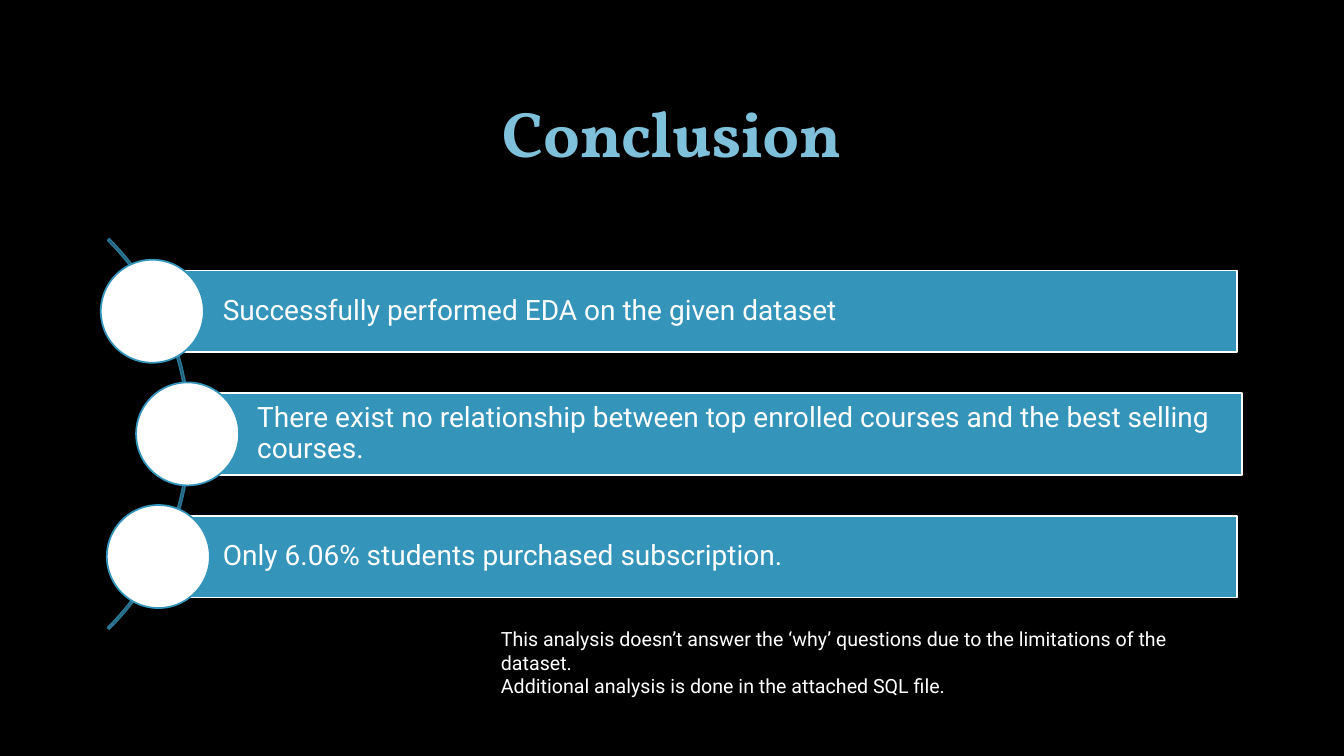
import pptx
import pptx.util
import pptx.dml.color
import pptx.enum.shapes
import pptx.enum.text
import lxml.etree

inch = pptx.util.Inches
shapes = pptx.enum.shapes.MSO_SHAPE
align = pptx.enum.text.PP_ALIGN
anchor = pptx.enum.text.MSO_ANCHOR
wide, high = 13.33, 7.5

points = [
    ("Successfully performed EDA on the given dataset", 0.57, 11.27, 0),
    ("There exist no relationship between top enrolled courses and the best selling courses.", 0.91, 11.32, 0.35),
    ("Only 6.06% students purchased subscription.", 0.57, 11.27, 0.06),
]
notes = [
    "This analysis doesn’t answer the ‘why’ questions due to the limitations of the dataset.",
    "Additional analysis is done in the attached SQL file.",
]


def color(code):
    return pptx.dml.color.RGBColor.from_string(code)


def put(item, values):
    for name, value in values.items():
        setattr(item, name, value)


def draw(slide, kind, box, fill, line):
    shape = slide.shapes.add_shape(kind, *map(inch, box))
    shape.shadow.inherit = False
    if fill:
        shape.fill.solid()
        shape.fill.fore_color.rgb = color(fill)
    else:
        shape.fill.background()
    shape.line.color.rgb = color(line)
    shape.line.width = pptx.util.Pt(1.25)
    return shape


def write(frame, lines, look, tint, layout, frame_look):
    put(frame, {"word_wrap": True, **frame_look})
    for i, line in enumerate(lines):
        para = frame.paragraphs[0] if i == 0 else frame.add_paragraph()
        put(para, layout)
        run = para.add_run()
        run.text = line
        put(run.font, look)
        run.font.color.rgb = color(tint)


def outline(run):
    space = "http://schemas.openxmlformats.org/drawingml/2006/main"
    line = lxml.etree.fromstring(
        f'<a:ln xmlns:a="{space}" w="9525"><a:solidFill><a:srgbClr val="404040">'
        '<a:alpha val="10000"/></a:srgbClr></a:solidFill></a:ln>')
    run.font._element.insert(0, line)


def title(slide, box):
    frame = slide.shapes.add_textbox(*map(inch, box)).text_frame
    write(frame, ["Conclusion"],
          {"name": "Vollkorn", "size": pptx.util.Pt(46), "bold": True}, "7FC1DB",
          {"alignment": align.CENTER, "line_spacing": 0.9},
          {"vertical_anchor": anchor.MIDDLE})
    outline(frame.paragraphs[0].runs[0])


def arc(slide, left, mid, size):
    curve = draw(slide, shapes.BLOCK_ARC, (left, mid - size / 2, size, size), None, "2A7795")
    for i, value in enumerate((189, 27, 0.004)):
        curve.adjustments[i] = value


def body(slide, box):
    left, top, _, height = box
    row = height / len(points)
    bar, disc = row * 2 / 3, row * 0.84
    pad = inch(0.06)
    arc(slide, left - 4.59, top + height / 2, row * 4.5)
    for i, (text, start, end, shift) in enumerate(points):
        mid = top + row * (i + 0.5)
        strip = draw(slide, shapes.RECTANGLE,
                     (left + start, mid - bar / 2, end - start, bar), "3494BA", "FFFFFF")
        write(strip.text_frame, [text], {"name": "Roboto", "size": pptx.util.Pt(20)}, "FFFFFF",
              {"alignment": align.LEFT, "line_spacing": 0.9},
              {"vertical_anchor": anchor.MIDDLE, "margin_left": inch(0.64),
               "margin_right": pad, "margin_top": pad, "margin_bottom": pad})
        draw(slide, shapes.OVAL, (left + shift, mid - disc / 2, disc, disc), "FFFFFF", "3494BA")


def footer(slide, box):
    frame = slide.shapes.add_textbox(*map(inch, box)).text_frame
    write(frame, notes, {"name": "Roboto", "size": pptx.util.Pt(14)}, "FFFFFF",
          {"alignment": align.LEFT},
          {"auto_size": pptx.enum.text.MSO_AUTO_SIZE.SHAPE_TO_FIT_TEXT})


def main():
    deck = pptx.Presentation()
    put(deck, {"slide_width": inch(wide), "slide_height": inch(high)})
    slide = deck.slides.add_slide(deck.slide_layouts[6])
    slide.background.fill.solid()
    slide.background.fill.fore_color.rgb = color("000000")
    title(slide, (1, 0.67, 11.32, 1.38))
    body(slide, (1, 2.48, 11.32, 3.65))
    footer(slide, (4.87, 6.17, 7.46, 0.81))
    deck.save("out.pptx")


if __name__ == "__main__":
    main()
